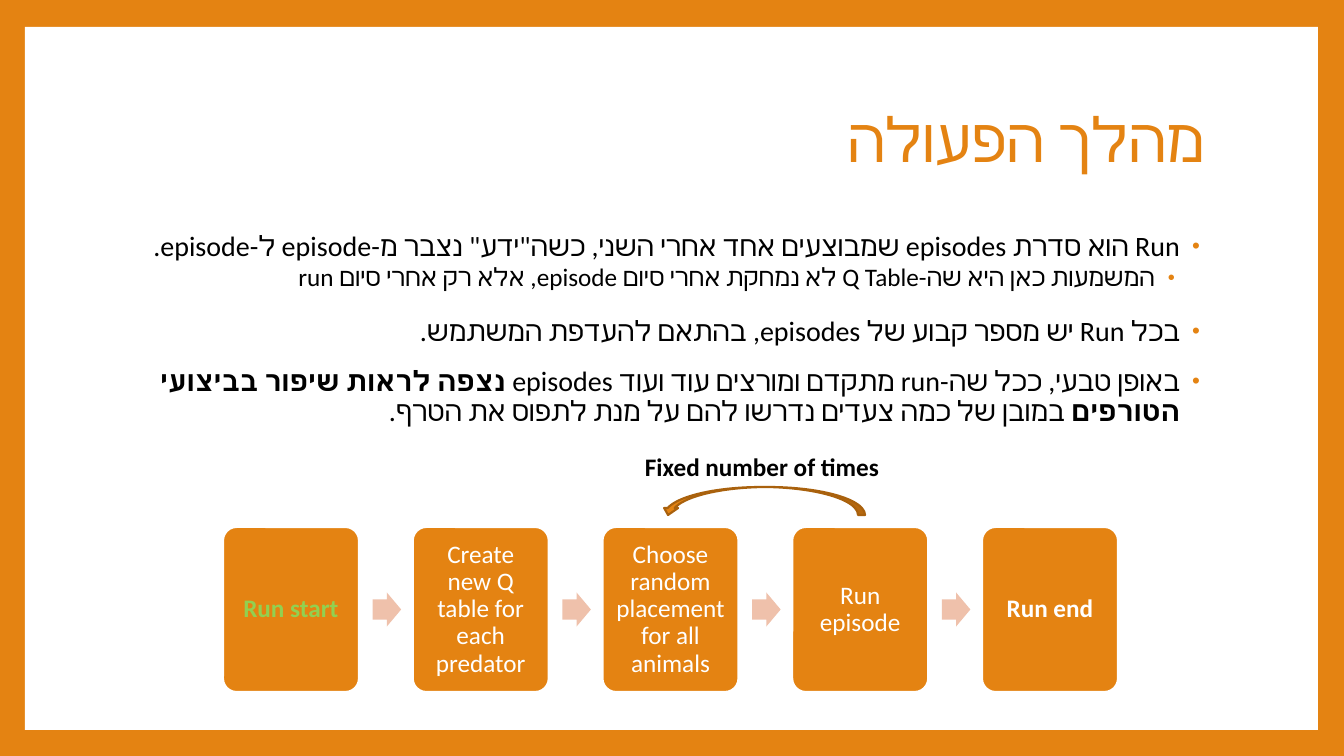
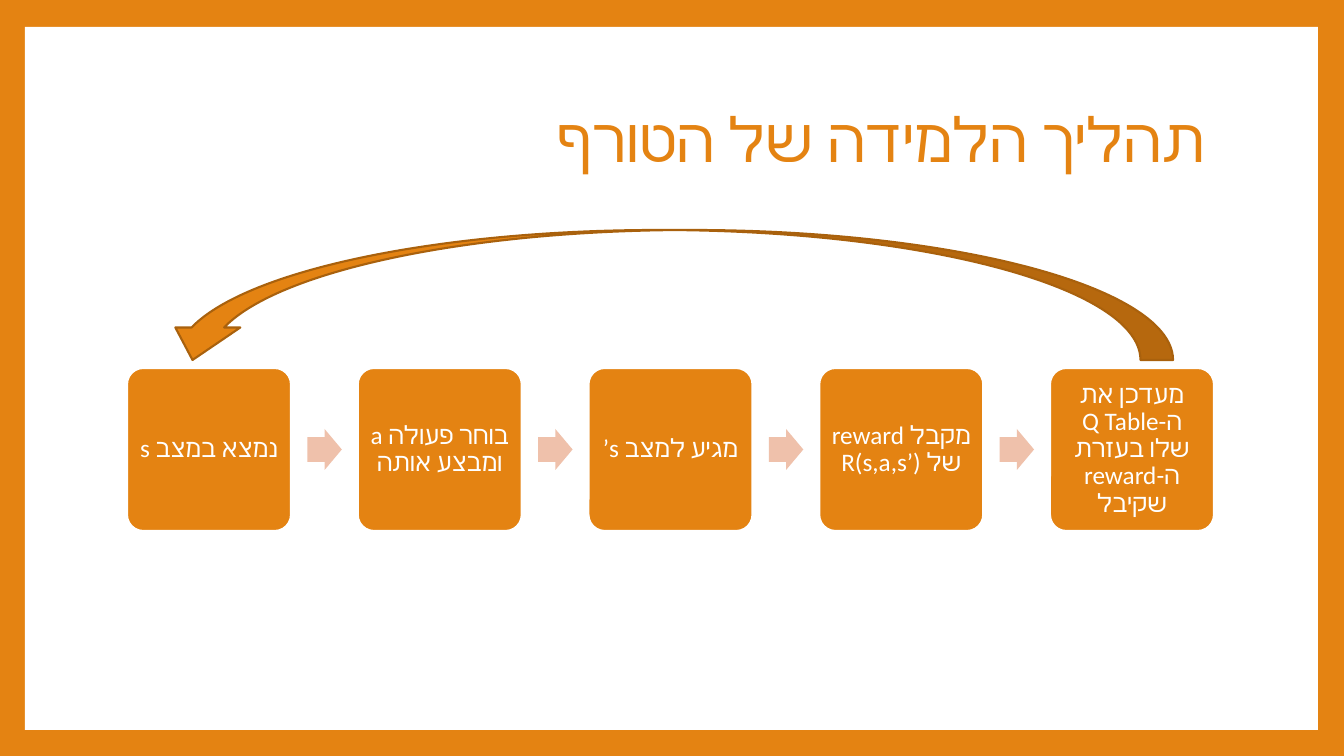
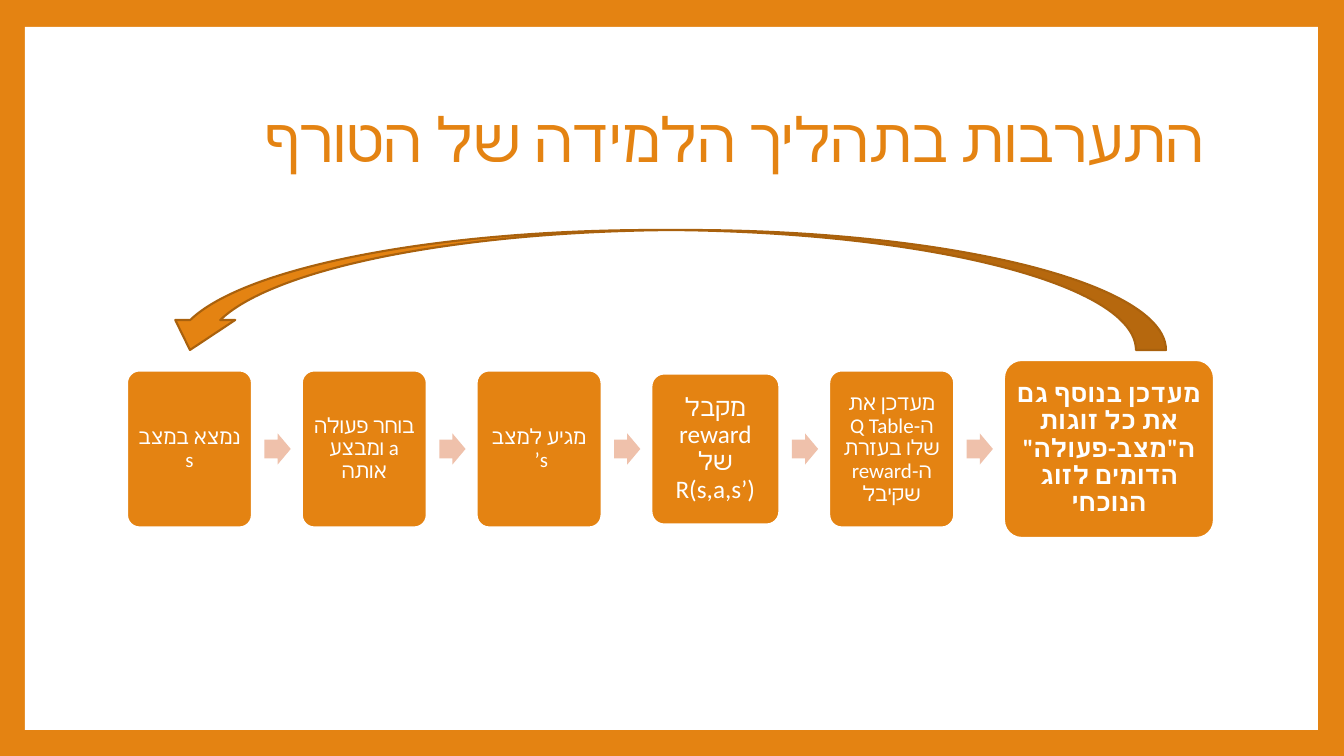
from typing import NamedTuple

from lxml.etree import SubElement
from pptx import Presentation
from pptx.dml.color import RGBColor
from pptx.enum.shapes import MSO_SHAPE
from pptx.enum.text import MSO_ANCHOR, MSO_AUTO_SIZE, PP_ALIGN
from pptx.oxml.ns import qn
from pptx.util import Emu, Pt

EMU_PER_PIXEL = 914400 / 100.8
FONT = "Calibri"
ORANGE, DARK_ORANGE, PALE_ORANGE = "E48312", "A9610D", "EFC1AB"
WHITE, BLACK, GREEN = "FFFFFF", "000000", "92D050"


class Box(NamedTuple):
    """A rectangle in pixels."""
    left: float
    top: float
    width: float
    height: float


class Step(NamedTuple):
    """One box of a process and its text format."""
    text: str
    width: int
    height: int
    size: int = 18
    bold: bool = False
    color: str = WHITE
    margin: int = 7


PAGE = Box(0, 0, 1344, 756)
PANEL = Box(25, 27, 1293, 703)
TITLE = Box(126, 68, 1089, 149)
BODY = Box(126, 227, 1089, 446)


def px(length):
    """Turn pixels into EMU."""
    return Emu(round(length * EMU_PER_PIXEL))


def rgb(value):
    """Turn a hex string into a colour."""
    return RGBColor.from_string(value)


def place(shape, box):
    """Move a shape onto a box."""
    shape.left, shape.top, shape.width, shape.height = map(px, box)


def write(para, text, size=18, color=WHITE, bold=False, align=PP_ALIGN.CENTER,
          rtl=False, spacing=0.9, before=0, after=0):
    """Fill a paragraph with a string or with (string, bold) pairs."""
    para.alignment = align
    para.line_spacing = spacing
    para.space_before, para.space_after = Pt(before), Pt(after)
    para._p.get_or_add_pPr().set("rtl", str(int(rtl)))
    for part, heavy in [(text, bold)] if isinstance(text, str) else text:
        span = para.add_run()
        span.text = part
        span.font.size, span.font.bold = Pt(size), heavy
        span.font.color.rgb = rgb(color)
        span.font.name = FONT
        SubElement(span.font._element, qn("a:cs"), typeface=FONT)


def add_bullet(para, indent, hanging):
    """Give a paragraph an orange bullet with a hanging indent."""
    props = para._p.get_or_add_pPr()
    props.set("marL", str(px(indent)))
    props.set("indent", str(-px(hanging)))
    SubElement(SubElement(props, qn("a:buClr")), qn("a:srgbClr"), val=ORANGE)
    SubElement(props, qn("a:buSzPct"), val="80000")
    SubElement(props, qn("a:buFont"), typeface="Arial")
    SubElement(props, qn("a:buChar"), char="•")


def add_shape(page, kind, box, fill, line=None):
    """Draw a flat preset shape."""
    shape = page.shapes.add_shape(kind, *map(px, box))
    shape.shadow.inherit = False
    shape.fill.solid()
    shape.fill.fore_color.rgb = rgb(fill)
    if line:
        shape.line.color.rgb = rgb(line)
        shape.line.width = Pt(1.5)
    else:
        shape.line.fill.background()
    return shape


def set_master(deck, page):
    """Give the master the orange frame around a white panel."""
    master = deck.slide_master
    master.background.fill.solid()
    master.background.fill.fore_color.rgb = rgb(ORANGE)
    panel = add_shape(page, MSO_SHAPE.RECTANGLE, PANEL, WHITE)
    master.shapes.element.insert(2, panel.element)


def add_page(deck, title, layout):
    """Add a slide with its right-to-left title."""
    page = deck.slides.add_slide(deck.slide_layouts[layout])
    place(page.shapes.title, TITLE)
    frame = page.shapes.title.text_frame
    frame.auto_size = MSO_AUTO_SIZE.NONE
    frame.vertical_anchor = MSO_ANCHOR.MIDDLE
    write(frame.paragraphs[0], title, size=44, color=ORANGE,
          align=PP_ALIGN.RIGHT, rtl=True)
    return page


def fill_body(page, box, items):
    """Write (level, text) items as a bulleted list in the body."""
    body = page.placeholders[1]
    place(body, box)
    frame = body.text_frame
    frame.auto_size = MSO_AUTO_SIZE.NONE
    frame.vertical_anchor = MSO_ANCHOR.TOP
    for index, (level, text) in enumerate(items):
        para = frame.add_paragraph() if index else frame.paragraphs[0]
        para.level = level
        size, before, after = ((20, 14, 0), (18, 2, 4))[level]
        write(para, text, size=size, color=BLACK, align=PP_ALIGN.RIGHT,
              rtl=True, before=before, after=after)
        add_bullet(para, indent=25 * (level + 1), hanging=20)


def add_step(page, box, step, rtl):
    """Draw one rounded process box with its text."""
    shape = add_shape(page, MSO_SHAPE.ROUNDED_RECTANGLE, box, ORANGE, WHITE)
    shape.adjustments[0] = 0.1
    frame = shape.text_frame
    frame.word_wrap = True
    frame.vertical_anchor = MSO_ANCHOR.MIDDLE
    frame.margin_left = frame.margin_right = px(step.margin)
    frame.margin_top = frame.margin_bottom = px(step.margin)
    write(frame.paragraphs[0], step.text, size=step.size, color=step.color,
          bold=step.bold, rtl=rtl)


def add_process(page, box, steps, rtl=True):
    """Spread steps evenly over a box, with an arrow in each gap."""
    gap = (box.width - sum(step.width for step in steps)) / (len(steps) - 1)
    unit = min(step.width for step in steps)
    arrow_width, arrow_height = 0.21 * unit, 0.25 * unit
    middle = box.top + box.height / 2
    left = box.left
    for index, step in enumerate(steps):
        if index:
            arrow = add_shape(
                page, MSO_SHAPE.RIGHT_ARROW,
                Box(left - gap + 0.1 * unit, middle - arrow_height / 2,
                    arrow_width, arrow_height), PALE_ORANGE)
            arrow.adjustments[0] = 0.6
        add_step(page, Box(left, middle - step.height / 2, step.width,
                           step.height), step, rtl)
        left += step.width + gap


def add_return_arrow(page, box):
    """Draw the curved arrow that leads back to an earlier step."""
    arrow = add_shape(page, MSO_SHAPE.CURVED_UP_ARROW, box, ORANGE, DARK_ORANGE)
    arrow.rotation = 180


def add_caption(page, box, text):
    """Write a bold black caption."""
    caption = page.shapes.add_textbox(*map(px, box))
    caption.text_frame.word_wrap = True
    write(caption.text_frame.paragraphs[0], text, color=BLACK, bold=True,
          align=PP_ALIGN.LEFT, spacing=1.0)


def build_run_page(deck):
    """Build the slide on the course of a run."""
    page = add_page(deck, "מהלך הפעולה", layout=1)
    set_master(deck, page)
    fill_body(page, BODY, [
        (0, 'Run הוא סדרת episodes שמבוצעים אחד אחרי השני, '
            'כשה"ידע" נצבר מ-episode ל-episode. '),
        (1, "המשמעות כאן היא שה-Q Table לא נמחקת אחרי סיום episode, "
            "אלא רק אחרי סיום run"),
        (0, "בכל Run יש מספר קבוע של episodes, בהתאם להעדפת המשתמש."),
        (0, [("באופן טבעי, ככל שה-run מתקדם ומורצים עוד ועוד episodes ", False),
             ("נצפה לראות שיפור בביצועי הטורפים ", True),
             ("במובן של כמה צעדים נדרשו להם על מנת לתפוס את הטרף.", False)]),
    ])
    width, height = 136, 165
    add_process(page, Box(223, 527, 895, height), [
        Step("Run start", width, height, bold=True, color=GREEN),
        Step("Create new Q table for each predator", width, height),
        Step("Choose random placement for all animals", width, height),
        Step("Run episode", width, height),
        Step("Run end", width, height, bold=True),
    ], rtl=False)
    add_return_arrow(page, Box(661, 487, 204, 28))
    add_caption(page, Box(635, 446, 286, 40), "Fixed number of times")


LEARNING = ["נמצא במצב s", "בוחר פעולה a ומבצע אותה", "מגיע למצב s’ ",
            "מקבל reward של R(s,a,s’)",
            "מעדכן את ה-Q Table שלו בעזרת ה-reward שקיבל"]


def build_learning_page(deck):
    """Build the slide on how the predator learns."""
    page = add_page(deck, "תהליך הלמידה של הטורף", layout=5)
    add_process(page, Box(127, 368, 1087, 163),
                [Step(text, 164, 163) for text in LEARNING])
    add_return_arrow(page, Box(160, 230, 1013, 130))


def build_intervention_page(deck):
    """Build the slide on the added step in the learning."""
    page = add_page(deck, "התערבות בתהליך הלמידה של הטורף", layout=5)
    steps = [Step(text, 125, 157, size=15, margin=6) for text in LEARNING]
    steps[3] = Step(LEARNING[3], 128, 151)
    steps.append(Step('מעדכן בנוסף גם את כל זוגות ה"מצב-פעולה" '
                      'הדומים לזוג הנוכחי', 210, 178, bold=True))
    add_process(page, Box(127, 360, 1087, 178), steps)
    add_return_arrow(page, Box(160, 230, 1006, 120))


def main():
    """Build and save the deck."""
    deck = Presentation()
    deck.slide_width, deck.slide_height = px(PAGE.width), px(PAGE.height)
    build_run_page(deck)
    build_learning_page(deck)
    build_intervention_page(deck)
    deck.save("out.pptx")


main()
